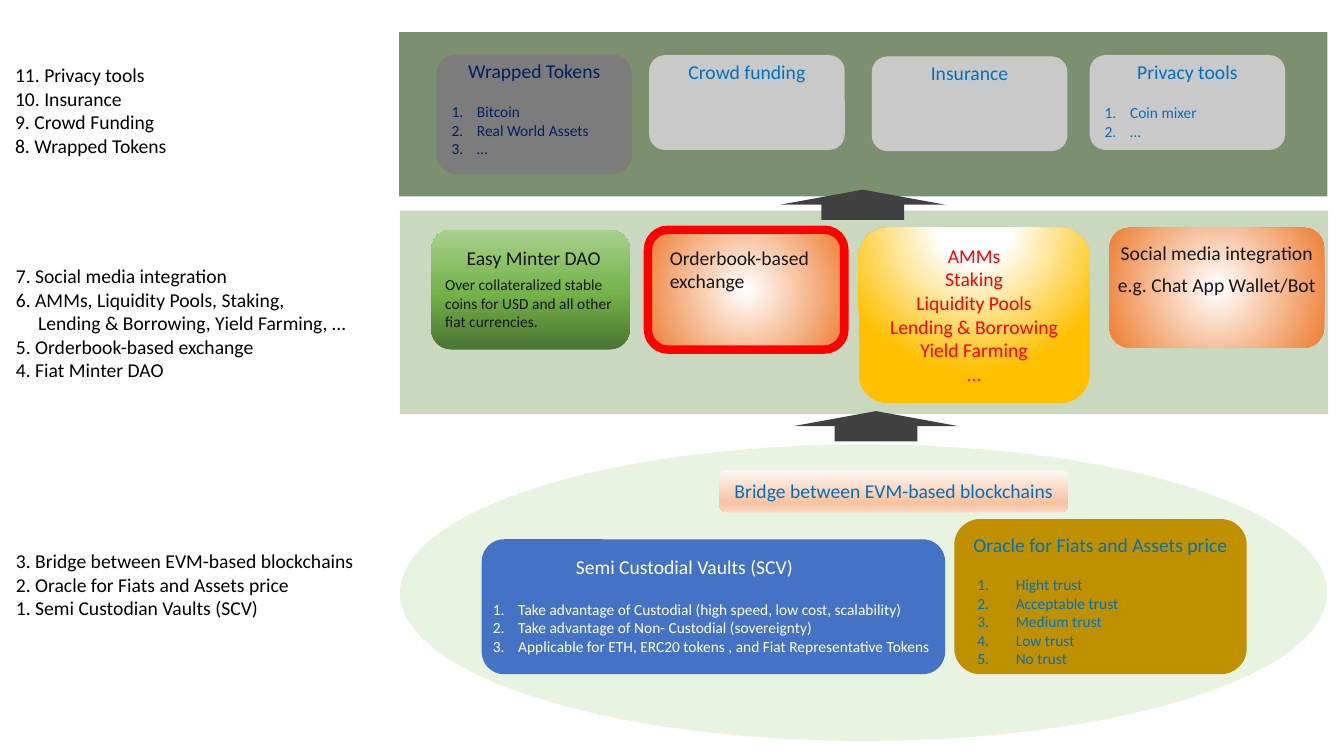
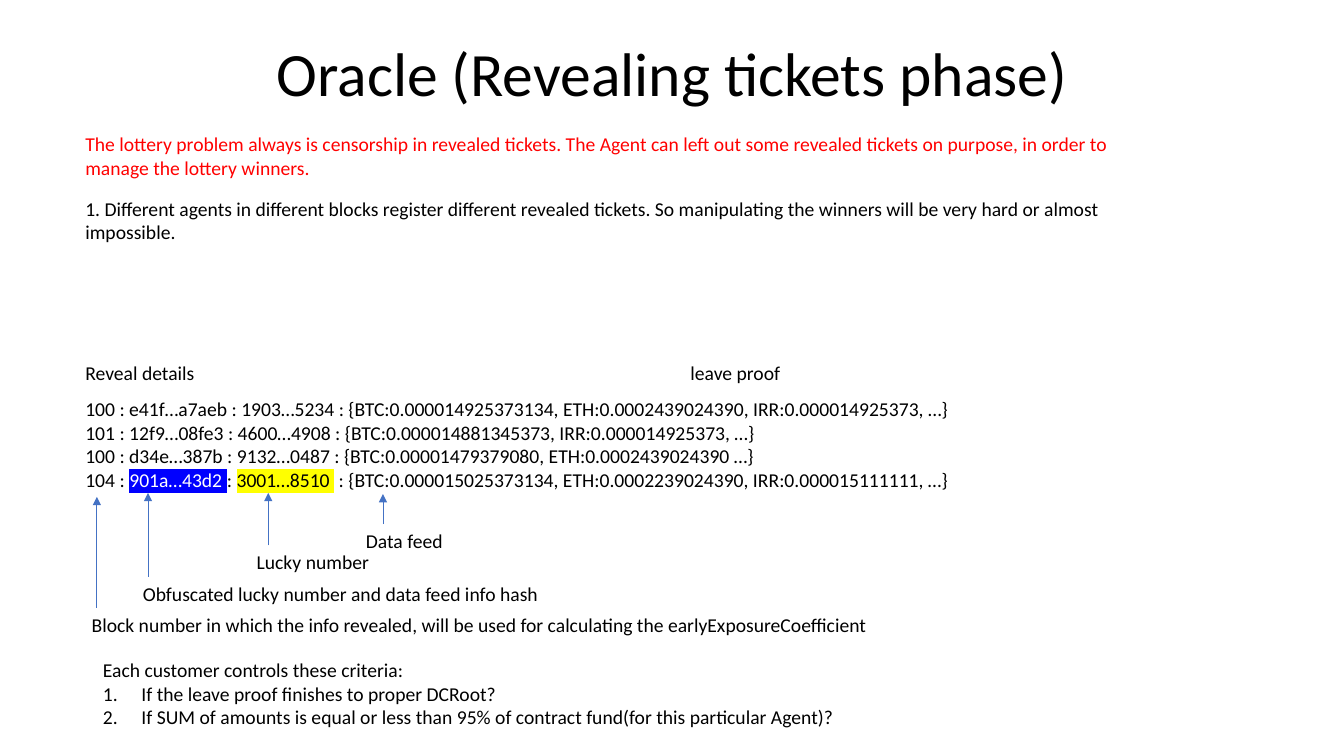
from lxml.etree import SubElement
from pptx import Presentation
from pptx.dml.color import RGBColor
from pptx.enum.shapes import MSO_CONNECTOR, MSO_SHAPE
from pptx.enum.text import MSO_ANCHOR, MSO_AUTO_SIZE, PP_ALIGN
from pptx.oxml.ns import qn
from pptx.util import Cm, Pt

FONT = "Calibri"
COLORS = {
    "black": "000000", "white": "FFFFFF", "ink": "181717", "red": "FF0000",
    "link": "0070C0", "navy": "002060", "blue": "4472C4", "pure_blue": "0000FF",
    "yellow": "FFFF00", "gold": "BF9000", "arrow": "404040",
    "light_gray": "C9C9C9", "gray": "7C7C7C",
    "forest": "385723", "moss": "548235", "mint": "C5E0B4",
}
GRADIENTS = {
    "orange": {"stops": [(0, "FFFFFF"), (1, "FFFFFF"), (100, "ED7D31")],
               "center": (50, 50, 50, 50)},
    "amber": {"stops": [(0, "FFFFFF"), (24, "FFFFFF"), (100, "FFC000")],
              "center": (50, -80, 50, 180)},
    "green": {"stops": [(0, "4B7430"), (48, "74B349"), (100, "A9D18E")], "angle": 270},
    "peach": {"stops": [(0, "FEF8F5"), (74, "F7C5A2"), (83, "F7C5A2"), (100, "FAD8C1")],
              "angle": 90},
}


def rgb(name):
    return RGBColor.from_string(COLORS[name])


def within(box, left, top, width=None, height=None):
    return (box[0] + left, box[1] + top,
            box[2] - 2 * left if width is None else width,
            box[3] - top if height is None else height)


def place(shape, box):
    shape.left, shape.top, shape.width, shape.height = map(Cm, box)


def set_indent(paragraph, margin, hanging=0, numbered=False):
    properties = paragraph._p.get_or_add_pPr()
    properties.set("marL", str(Cm(margin)))
    properties.set("indent", str(-Cm(hanging)))
    if numbered:
        SubElement(properties, qn("a:buAutoNum"), type="arabicPeriod")
    else:
        SubElement(properties, qn("a:buNone"))


def add_run(paragraph, text, size, color, highlight=None):
    run = paragraph.add_run()
    run.text = text
    run.font.name = FONT
    run.font.size = Pt(size)
    run.font.color.rgb = rgb(color)
    if highlight:
        latin = run._r.rPr.find(qn("a:latin"))
        mark = SubElement(run._r.rPr, qn("a:highlight"))
        SubElement(mark, qn("a:srgbClr"), val=COLORS[highlight])
        latin.addprevious(mark)


def write(frame, lines, size=14, color="black", align=PP_ALIGN.LEFT, wrap=True,
          anchor=MSO_ANCHOR.TOP, spacing=1.0, after=0, numbered_from=None,
          hanging=0.64, indents=None):
    frame.auto_size = MSO_AUTO_SIZE.NONE
    frame.word_wrap = wrap
    frame.vertical_anchor = anchor
    for index, line in enumerate(lines):
        paragraph = frame.paragraphs[0] if index == 0 else frame.add_paragraph()
        paragraph.alignment = align
        paragraph.line_spacing = spacing
        paragraph.space_before = Pt(0)
        paragraph.space_after = Pt(after)
        if numbered_from is not None and index >= numbered_from:
            set_indent(paragraph, hanging, hanging, numbered=True)
        else:
            set_indent(paragraph, (indents or {}).get(index, 0))
        runs = [(line, color)] if isinstance(line, str) else line
        for text, run_color, *highlight in runs:
            add_run(paragraph, text, size, run_color, *highlight)


def add_text(slide, box, lines, **text_format):
    text_box = slide.shapes.add_textbox(*map(Cm, box))
    write(text_box.text_frame, lines, **text_format)


def add_heading(slide, box, *lines, **text_format):
    add_text(slide, box, lines, align=PP_ALIGN.CENTER, wrap=False, **text_format)


def add_list(slide, box, lines, **text_format):
    add_text(slide, box, lines, size=11, numbered_from=0, **text_format)


def fill_gradient(shape, stops, angle=None, center=None):
    shape.fill.gradient()
    gradient = shape._element.spPr.find(qn("a:gradFill"))
    gradient.clear()
    gradient.set("rotWithShape", "1")
    stop_list = SubElement(gradient, qn("a:gsLst"))
    for position, color in stops:
        stop = SubElement(stop_list, qn("a:gs"), pos=str(position * 1000))
        SubElement(stop, qn("a:srgbClr"), val=color)
    if center:
        circle = SubElement(gradient, qn("a:path"), attrib={"path": "circle"})
        edges = {side: str(value * 1000) for side, value in zip("ltrb", center)}
        SubElement(circle, qn("a:fillToRect"), attrib=edges)
    else:
        SubElement(gradient, qn("a:lin"), ang=str(angle * 60000), scaled="0")


def add_block(slide, kind, box, fill, opacity=None, outline=None):
    shape = slide.shapes.add_shape(kind, *map(Cm, box))
    shape.shadow.inherit = False
    if fill in GRADIENTS:
        fill_gradient(shape, **GRADIENTS[fill])
    else:
        shape.fill.solid()
        shape.fill.fore_color.rgb = rgb(fill)
    if opacity:
        color = shape._element.spPr.find(qn("a:solidFill"))[0]
        SubElement(color, qn("a:alpha"), val=str(opacity * 1000))
    if outline:
        shape.line.color.rgb = rgb(outline)
        shape.line.width = Pt(6)
    else:
        shape.line.fill.background()


def add_card(slide, box, fill, **block_format):
    add_block(slide, MSO_SHAPE.ROUNDED_RECTANGLE, box, fill, **block_format)
    return box


def add_arrow(slide, x, start, tip):
    arrow = slide.shapes.add_connector(MSO_CONNECTOR.STRAIGHT, Cm(x), Cm(start), Cm(x), Cm(tip))
    arrow.line.color.rgb = rgb("blue")
    arrow.line.width = Pt(0.5)
    SubElement(arrow.line._get_or_add_ln(), qn("a:tailEnd"), type="triangle")
    SubElement(arrow._element.spPr, qn("a:effectLst"))


def add_legend(slide, box, top, lines, **text_format):
    add_text(slide, within(box, -9.93, top, 9.8, 2.64), lines, **text_format)


def add_tools_layer(slide, box):
    add_block(slide, MSO_SHAPE.RECTANGLE, box, "forest", opacity=66)
    add_legend(slide, box, 0.66, ["11. Privacy tools", "10. Insurance",
                                  "9. Crowd Funding", "8. Wrapped Tokens"])
    cards = [
        (0.94, 0.56, 3.02, "gray", "navy", "Wrapped Tokens", ["Bitcoin", "Real World Assets", "…"]),
        (6.3, 0.58, 2.39, "light_gray", "link", "Crowd funding", []),
        (11.91, 0.61, 2.39, "light_gray", "link", "Insurance", []),
        (17.4, 0.58, 2.39, "light_gray", "link", "Privacy tools", ["Coin mixer", "…"]),
    ]
    for left, top, height, fill, color, heading, items in cards:
        card = add_card(slide, within(box, left, top, 4.93, height), fill)
        add_heading(slide, within(card, 0, 0, height=0.86), heading, color=color)
        if items:
            add_list(slide, within(card, 0.13, 1.09), items, color=color)


def add_services_layer(slide, box):
    add_block(slide, MSO_SHAPE.RECTANGLE, box, "moss", opacity=31)
    add_legend(slide, box, 1.22, [
        "7. Social media integration", "6. AMMs, Liquidity Pools, Staking,",
        "Lending & Borrowing, Yield Farming, …", "5. Orderbook-based exchange",
        "4. Fiat Minter DAO"], indents={2: 0.56})

    minter = add_card(slide, within(box, 0.79, 0.48, 5, 3.02), "green")
    add_heading(slide, within(minter, 0.66, 0.28, 3.84, 0.86), "Easy Minter DAO", color="ink")
    add_text(slide, within(minter, 0.1, 1.02, 5), [
        "Over collateralized stable coins for USD and all other fiat currencies."],
        size=11, color="ink")

    exchange = add_card(slide, within(box, 6.25, 0.48, 4.95, 3.02), "orange", outline="red")
    add_text(slide, within(exchange, 0.3, 0.28), ["Orderbook-based", "exchange"], color="ink")

    pools = add_card(slide, within(box, 11.56, 0.43, 5.82, 4.42), "amber")
    add_heading(slide, within(pools, 0, 0.28), "AMMs", "Staking", "Liquidity Pools",
                "Lending & Borrowing", "Yield Farming", "…", color="red")

    social = add_card(slide, within(box, 17.88, 0.43, 5.41, 3.02), "orange")
    add_heading(slide, within(social, 0, 0.2), "Social media integration",
                "e.g. Chat App Wallet/Bot", color="ink", after=6)


def add_base_layer(slide, box):
    add_block(slide, MSO_SHAPE.OVAL, box, "mint", opacity=38)
    add_legend(slide, box, 2.51, ["3. Bridge between EVM-based blockchains",
                                  "2. Oracle for Fiats and Assets price",
                                  "1. Semi Custodian Vaults (SCV)"])

    vaults = add_card(slide, within(box, 2.06, 2.39, 11.68, 3.4), "blue")
    add_heading(slide, within(vaults, 2.01, 0.28, 6.2, 0.86),
                "Semi Custodial Vaults (SCV)", color="white")
    add_list(slide, within(vaults, 0.03, 1.4), [
        "Take advantage of Custodial (high speed, low cost, scalability)",
        "Take advantage of Non- Custodial (sovereignty)",
        "Applicable for ETH, ERC20 tokens , and Fiat Representative Tokens"], color="white")

    oracle = add_card(slide, within(box, 13.97, 1.88, 7.37, 3.91), "gold")
    add_heading(slide, within(oracle, 0, 0.23, height=0.86),
                "Oracle for Fiats and Assets price", color="link")
    add_list(slide, within(oracle, 0.33, 1.3), [
        "Hight trust", "Acceptable trust", "Medium trust", "Low trust", "No trust"],
        color="link", hanging=0.97)

    bridge = add_card(slide, within(box, 8.05, 0.64, 8.79, 1.07), "peach")
    add_heading(slide, within(bridge, 0, 0.1), "Bridge between EVM-based blockchains",
                color="link")


def add_reveal_details(slide, box):
    add_text(slide, within(box, 0, 0, 8, 0.86), ["Reveal details"])
    add_text(slide, within(box, 15.25, 0, 8, 0.86), ["leave proof"])
    add_text(slide, within(box, 0, 0.91, height=2.64), [
        "100 : e41f…a7aeb : 1903…5234 : {BTC:0.000014925373134, ETH:0.0002439024390, IRR:0.000014925373, …}",
        "101 : 12f9…08fe3 : 4600…4908 : {BTC:0.000014881345373, IRR:0.000014925373, …}",
        "100 : d34e…387b : 9132…0487 : {BTC:0.00001479379080, ETH:0.0002439024390 …}",
        [("104 : ", "black"), ("901a…43d2 ", "white", "pure_blue"), (": ", "black"),
         ("3001…8510 ", "black", "yellow"),
         (" : {BTC:0.000015025373134, ETH:0.0002239024390, IRR:0.000015111111, …}", "black")]])
    callouts = [
        (0.16, 6.35, 0.54, 3.55, "Block number in which the info revealed, "
         "will be used for calculating the earlyExposureCoefficient"),
        (1.45, 5.56, 1.83, 3.45, "Obfuscated lucky number and data feed info hash"),
        (4.32, 4.77, 4.86, 3.45, "Lucky number"),
        (7.07, 4.24, 7.75, 3.48, "Data feed"),
    ]
    for left, top, arrow_left, tip, label in callouts:
        add_text(slide, within(box, left, top, 21.2, 0.86), [label])
        add_arrow(slide, box[0] + arrow_left, box[1] + top, box[1] + tip)


def build_layers_slide(presentation):
    slide = presentation.slides.add_slide(presentation.slide_layouts[6])
    add_tools_layer(slide, (10.06, 0.81, 23.39, 4.14))
    add_services_layer(slide, (10.08, 5.31, 23.39, 5.13))
    add_base_layer(slide, (10.08, 11.2, 23.37, 7.47))
    for left, top in [(19.66, 4.78), (19.99, 10.36)]:
        add_block(slide, MSO_SHAPE.UP_ARROW, (left, top, 4.17, 0.76), "arrow")


def build_oracle_slide(presentation):
    slide = presentation.slides.add_slide(presentation.slide_layouts[1])
    title, criteria = slide.placeholders
    place(title, (2.34, 0.1, 29.21, 3.68))
    write(title.text_frame, ["Oracle (Revealing tickets phase)"], size=44,
          align=PP_ALIGN.CENTER, anchor=MSO_ANCHOR.MIDDLE, spacing=0.9)
    add_text(slide, (1.9, 3.2, 27.89, 1.45), [
        "The lottery problem always is censorship in revealed tickets. The Agent can left out "
        "some revealed tickets on purpose, in order to manage the lottery winners."], color="red")
    add_text(slide, (1.9, 4.83, 27.89, 1.45), [
        "1. Different agents in different blocks register different revealed tickets. So "
        "manipulating the winners will be very hard or almost impossible."])
    add_reveal_details(slide, (1.9, 8.97, 31.44, 7.2))
    place(criteria, (2.34, 16.46, 20.88, 2.06))
    write(criteria.text_frame, [
        "Each customer controls these criteria:",
        "If the leave proof finishes to proper DCRoot?",
        "If SUM of amounts is equal or less than 95% of contract fund(for this particular Agent)?"],
        numbered_from=1, hanging=0.97)


def main():
    presentation = Presentation()
    presentation.slide_width = Cm(33.87)
    presentation.slide_height = Cm(19.05)
    build_layers_slide(presentation)
    build_oracle_slide(presentation)
    presentation.save("out.pptx")


if __name__ == "__main__":
    main()
